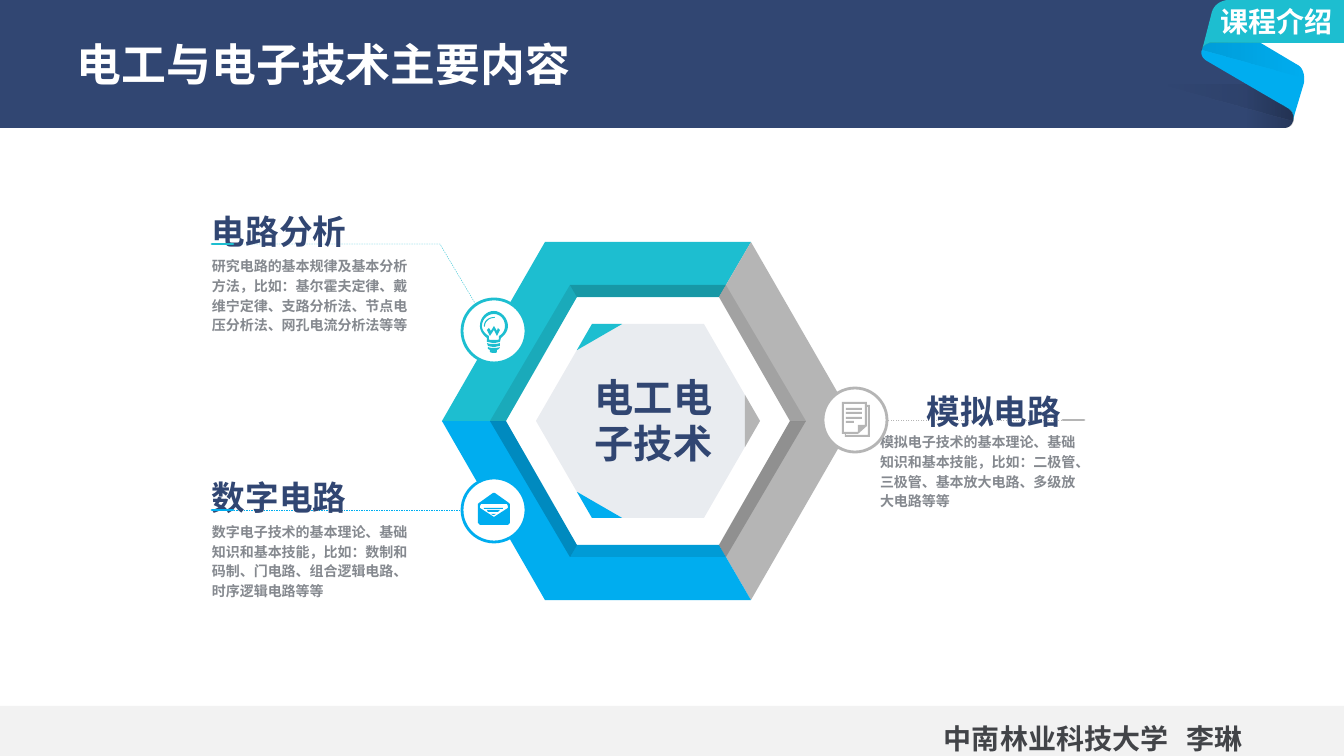
from pptx import Presentation
from pptx.dml.color import RGBColor
from pptx.enum.dml import MSO_LINE
from pptx.enum.shapes import MSO_CONNECTOR, MSO_SHAPE
from pptx.enum.text import MSO_ANCHOR, PP_ALIGN
from pptx.oxml.ns import qn
from pptx.util import Emu, Pt
from lxml.etree import SubElement

SCALE = 12192000 / 1344
SANS, SERIF = "Noto Sans CJK SC", "Times New Roman"
COLORS = {"navy": "314672", "teal": "1DBED0", "blue": "00ADEF", "gray": "B5B5B5",
          "white": "FFFFFF", "black": "000000", "footer": "F2F2F2",
          "body": "85898F", "ink": "424448"}

TOPICS = [
    {"title": "电路分析", "color": "teal", "title_at": (212, 208), "body_at": (212, 255),
     "align": PP_ALIGN.LEFT, "tick": [(233, 244), (212, 244)],
     "leader": [(229, 244), (440, 244), (491, 330)], "badge": (494, 331),
     "body": "研究电路的基本规律及基本分析方法，比如：基尔霍夫定律、戴维宁定律、支路分析法、节点电压分析法、网孔电流分析法等等"},
    {"title": "数字电路", "color": "blue", "title_at": (212, 474), "body_at": (212, 521),
     "align": PP_ALIGN.LEFT, "tick": [(233, 510), (212, 510)],
     "leader": [(229, 510), (494, 510)], "badge": (494, 510),
     "body": "数字电子技术的基本理论、基础知识和基本技能，比如：数制和码制、门电路、组合逻辑电路、时序逻辑电路等等"},
    {"title": "模拟电路", "color": "gray", "title_at": (855, 388), "body_at": (880, 431),
     "align": PP_ALIGN.RIGHT, "tick": [(1063, 420), (1084, 420)],
     "leader": [(1067, 420), (857, 420)], "badge": (855, 420),
     "body": "模拟电子技术的基本理论、基础知识和基本技能，比如：二极管、三极管、基本放大电路、多级放大电路等等"},
]

# Six-number entries are cubic curves: two control points and an end point.
HEADER = [(0, 0), (1253, 0), (1253, 73), (1289, 109), (1293, 112, 1294, 116, 1293, 121),
          (1292, 125, 1289, 128, 1284, 128), (0, 128)]
RIBBON_FOLD = [(1207, 61), (1289, 109), (1293, 112, 1294, 116, 1293, 121), (1295, 113),
               (1304, 83), (1305, 74, 1303, 67, 1296, 64), (1254, 39), (1212, 41),
               (1207, 41, 1203, 46, 1202, 50), (1200, 54, 1203, 59, 1207, 61)]
RIBBON_TAG = [(1202, 50), (1203, 46, 1207, 43, 1212, 43), (1344, 43), (1344, 0), (1229, 0),
              (1221, 0, 1214, 5, 1212, 12), (1204, 43)]
RIBBON_SHADES = [
    (20, 180, [(1247, 85), (1247, 128), (1284, 128), (1289, 128, 1292, 125, 1293, 121),
               (1294, 116, 1293, 112, 1289, 109)]),
    (10, 180, [(1161, 85), (1293, 121), (1294, 116, 1293, 112, 1289, 109), (1247, 85)]),
    (10, 0, [(1202, 50), (1304, 78), (1304, 73, 1303, 67, 1296, 64), (1260, 43), (1212, 43),
             (1207, 43, 1203, 46, 1202, 50)]),
]


def bar(left, top, right, bottom):
    return [(left, top), (right, top), (right, bottom), (left, bottom)]


BULB = [
    [(494, 311), (486, 311, 480, 318, 480, 326), (480, 331, 483, 335, 487, 338), (487, 342),
     (489, 342, 491, 343, 494, 343), (496, 343, 499, 342, 500, 342), (501, 338),
     (505, 335, 508, 331, 508, 326), (508, 318, 501, 311, 494, 311)],
    [(499, 336), (499, 339), (499, 340, 497, 340, 494, 340), (490, 340, 489, 340, 489, 339),
     (489, 336), (485, 334, 482, 330, 482, 326), (482, 319, 488, 314, 494, 314),
     (500, 314, 505, 319, 505, 326), (505, 330, 503, 334, 499, 336)],
    [(494, 318), (494, 318, 495, 318, 495, 317), (488, 317, 484, 321, 484, 326),
     (484, 327, 485, 327, 485, 326), (485, 322, 489, 318, 494, 318)],
    [(497, 331), (494, 326), (491, 331), (489, 328), (487, 330), (490, 336), (494, 330),
     (497, 336), (500, 330), (498, 328)],
    [(487, 343), (488, 346), (489, 346, 491, 347, 494, 347), (496, 347, 498, 346, 500, 346),
     (500, 343), (498, 344, 496, 344, 494, 344), (491, 344, 489, 344, 487, 343)],
    [(488, 347), (488, 349), (490, 350), (490, 352), (490, 352, 491, 353, 494, 353),
     (497, 353, 497, 352, 497, 352), (497, 350), (499, 349), (500, 347),
     (498, 348, 496, 348, 494, 348), (492, 348, 490, 348, 488, 347)],
]
ENVELOPE = [
    [(509, 503), (495, 493), (493, 493), (479, 503), (478, 504), (478, 523), (480, 525),
     (508, 525), (510, 523), (510, 504)],
    [(508, 508), (494, 517), (480, 508), (480, 506), (481, 504), (507, 504), (508, 506)],
    bar(484, 508, 503, 509),
    [(488, 512), (498, 512), (500, 510), (487, 510)],
    [(493, 515), (494, 515), (496, 514), (491, 514)],
]
PAPERS = [
    [(867, 405), (867, 402), (842, 402), (842, 434), (845, 434), (845, 437), (870, 437), (870, 405)],
    [(844, 432), (844, 404), (865, 404), (865, 425), (858, 425), (858, 432)],
    [(868, 435), (846, 435), (846, 434), (858, 434), (867, 426), (867, 407), (868, 407)],
    bar(846, 408, 862, 410), bar(846, 412, 862, 414), bar(846, 417, 862, 419),
    bar(846, 421, 854, 423),
]
ICONS = [BULB, ENVELOPE, PAPERS]

CENTER = (648, 421)
HEXAGONS = {"outer": (206, 103, 179), "rim": (158, 78, 136),
            "inner": (142, 71, 124), "core": (112, 56, 97)}
BANDS = [("teal", (0, 1, 2)), ("gray", (2, 3, 4)), ("blue", (4, 5, 0))]
CORNERS = [("teal", 1), ("blue", 5), ("gray", 3)]
CORNER_SHARE = 0.27

deck = Presentation()
deck.slide_width, deck.slide_height = Emu(12192000), Emu(6858000)
page = deck.slides.add_slide(deck.slide_layouts[6])


def emu(px):
    return Emu(round(px * SCALE))


def rgb(name):
    return RGBColor.from_string(COLORS[name])


def set_alpha(color, percent):
    SubElement(color, qn("a:alpha")).set("val", str(percent * 1000))


def flatten(contour, steps=8):
    points = [contour[0]]
    for entry in contour[1:]:
        if len(entry) == 2:
            points.append(entry)
            continue
        x0, y0 = points[-1]
        x1, y1, x2, y2, x3, y3 = entry
        for step in range(1, steps + 1):
            t = step / steps
            a, b, c, d = (1 - t) ** 3, 3 * t * (1 - t) ** 2, 3 * t * t * (1 - t), t ** 3
            points.append((a * x0 + b * x1 + c * x2 + d * x3, a * y0 + b * y1 + c * y2 + d * y3))
    return [(emu(x), emu(y)) for x, y in points]


def add_outline(contours, color=None, alpha=None, close=True):
    flat = [flatten(contour) for contour in contours]
    builder = page.shapes.build_freeform(*flat[0][0], scale=1.0)
    for index, points in enumerate(flat):
        if index:
            builder.move_to(*points[0])
        builder.add_line_segments(points[1:], close=close)
    shape = builder.convert_to_shape()
    shape.shadow.inherit = False
    shape.line.fill.background()
    if color is None:
        shape.fill.background()
    else:
        shape.fill.solid()
        shape.fill.fore_color.rgb = rgb(color)
    if alpha:
        set_alpha(next(shape.element.spPr.iter(qn("a:srgbClr"))), alpha)
    return shape


def add_shade(alpha, angle, contour):
    shape = add_outline([contour])
    shape.fill.gradient()
    shape.fill.gradient_angle = angle
    for stop, percent in zip(shape.fill.gradient_stops, (alpha, 0)):
        stop.color.rgb = rgb("black")
    for color, percent in zip(shape.element.spPr.iter(qn("a:srgbClr")), (alpha, 0)):
        set_alpha(color, percent)


def add_preset(kind, left, top, width, height, fill):
    shape = page.shapes.add_shape(kind, emu(left), emu(top), emu(width), emu(height))
    shape.shadow.inherit = False
    shape.fill.solid()
    shape.fill.fore_color.rgb = rgb(fill)
    shape.line.fill.background()
    return shape


def style_line(line, color, width, dash=None):
    line.color.rgb = rgb(color)
    line.width = Pt(width)
    if dash:
        line.dash_style = dash


def add_line(ends, color, width, dash=None):
    (x1, y1), (x2, y2) = ends
    line = page.shapes.add_connector(MSO_CONNECTOR.STRAIGHT, emu(x1), emu(y1), emu(x2), emu(y2))
    style_line(line.line, color, width, dash)
    SubElement(line.element.spPr, qn("a:effectLst"))
    return line


def add_text(text, at, size, color, font=SANS, align=PP_ALIGN.LEFT, spacing=None,
             anchor=MSO_ANCHOR.TOP, tab=None):
    box = page.shapes.add_textbox(*(emu(px) for px in at))
    frame = box.text_frame
    frame.word_wrap = True
    frame.vertical_anchor = anchor
    frame.margin_left = frame.margin_right = frame.margin_top = frame.margin_bottom = 0
    para = frame.paragraphs[0]
    para.alignment = align
    if spacing:
        para.line_spacing = spacing
    if tab:
        stops = SubElement(para._p.get_or_add_pPr(), qn("a:tabLst"))
        stop = SubElement(stops, qn("a:tab"))
        stop.set("pos", str(emu(tab)))
        stop.set("algn", "l")
    span = para.add_run()
    span.text = text
    span.font.size, span.font.bold, span.font.name = Pt(size), True, font
    span.font.color.rgb = rgb(color)
    SubElement(span._r.get_or_add_rPr(), qn("a:ea")).set("typeface", SANS)


def hexagon(half_width, half_side, half_height):
    x, y = CENTER
    return [(x - half_width, y), (x - half_side, y - half_height), (x + half_side, y - half_height),
            (x + half_width, y), (x + half_side, y + half_height), (x - half_side, y + half_height)]


def toward(start, end):
    return tuple(a + (b - a) * CORNER_SHARE for a, b in zip(start, end))


def add_band(outside, inside, corners, color, alpha=None):
    add_outline([[outside[i] for i in corners] + [inside[i] for i in reversed(corners)]], color, alpha)


add_outline([HEADER], "navy")
add_outline([RIBBON_FOLD], "blue")
add_outline([RIBBON_TAG], "teal")
for shade in RIBBON_SHADES:
    add_shade(*shade)
add_preset(MSO_SHAPE.RECTANGLE, 0, 706, 1344, 50, "footer")
add_text("电工与电子技术主要内容", (77, 6, 1190, 121), 32, "white", spacing=0.9, anchor=MSO_ANCHOR.MIDDLE)
add_text("课程介绍", (1209, 0, 135, 43), 20, "white", align=PP_ALIGN.CENTER, anchor=MSO_ANCHOR.MIDDLE)

rings = {name: hexagon(*sizes) for name, sizes in HEXAGONS.items()}
core = rings["core"]
add_outline([core], "navy", 10)
for color, corners in BANDS:
    add_band(rings["outer"], rings["inner"], corners, color)
for color, i in CORNERS:
    add_outline([[toward(core[i], core[i - 1]), core[i], toward(core[i], core[(i + 1) % 6])]], color)
for i in range(6):
    add_band(rings["rim"], rings["inner"], (i, (i + 1) % 6), "black", 10 + i % 2 * 10)
add_text("电工电子技术", (578, 374, 151, 95), 28, "navy", align=PP_ALIGN.CENTER, spacing=Pt(33))

for topic, icon in zip(TOPICS, ICONS):
    color = topic["color"]
    if len(topic["leader"]) == 2:
        add_line(topic["leader"], color, 0.25, MSO_LINE.DASH)
    else:
        leader = add_outline([topic["leader"]], close=False)
        style_line(leader.line, color, 0.25, MSO_LINE.DASH)
    add_text(topic["body"], (*topic["body_at"], 206, 79), 10, "body", SERIF, spacing=Pt(14))
    add_text(topic["title"], (*topic["title_at"], 206, 40), 24, "navy", align=topic["align"], spacing=Pt(31))
    tick = add_line(topic["tick"], color, 2)
    tick.line._get_or_add_ln().set("cap", "rnd")
    x, y = topic["badge"]
    badge = add_preset(MSO_SHAPE.OVAL, x - 32, y - 32, 64, 64, "white")
    style_line(badge.line, color, 2)
    add_outline(icon, color)

add_text("中南林业科技大学\t李琳", (944, 719, 390, 36), 20, "ink", spacing=Pt(26), tab=243)
deck.save("out.pptx")
